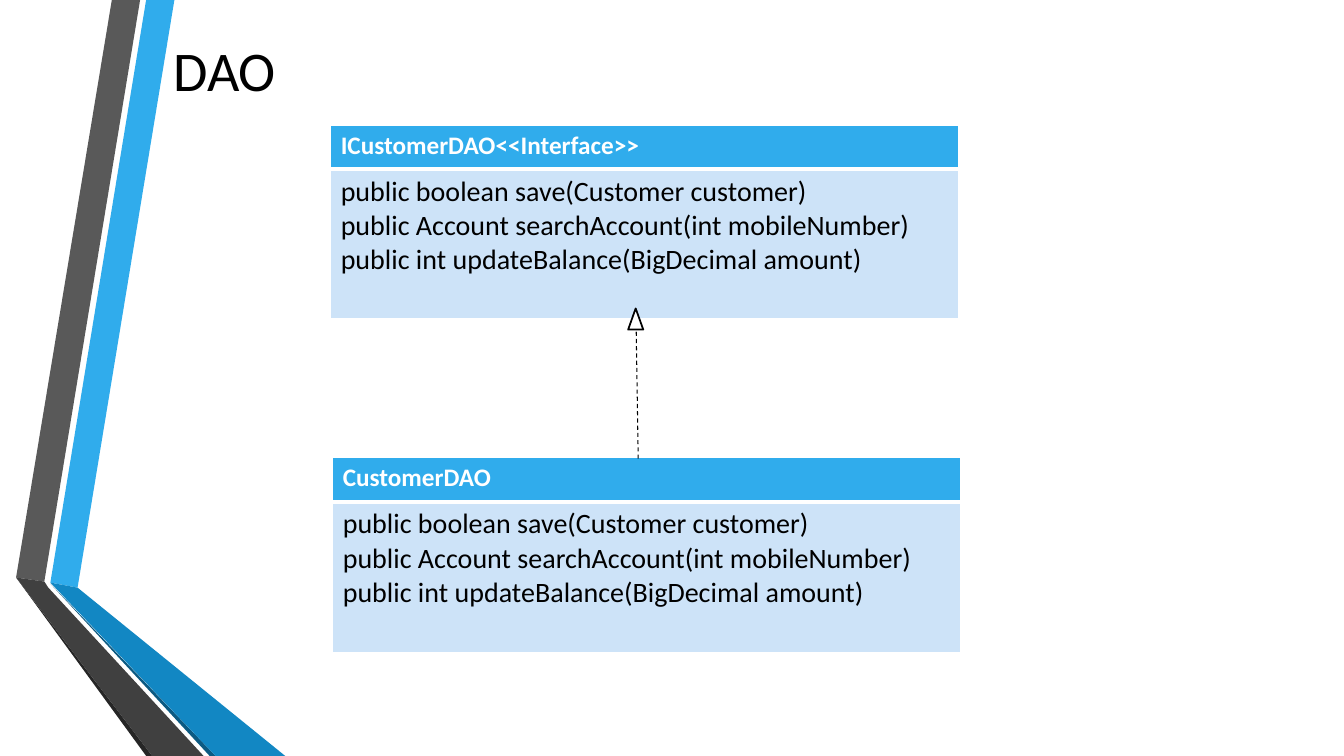
from lxml.etree import SubElement
from pptx import Presentation
from pptx.dml.color import RGBColor
from pptx.enum.dml import MSO_LINE
from pptx.enum.shapes import MSO_CONNECTOR, MSO_SHAPE
from pptx.enum.text import MSO_ANCHOR, PP_ALIGN
from pptx.oxml.ns import qn
from pptx.util import Inches, Pt

BLACK = RGBColor(0x00, 0x00, 0x00)
WHITE = RGBColor(0xFF, 0xFF, 0xFF)
BLUE = RGBColor(0x30, 0xAC, 0xEC)
MID_BLUE = RGBColor(0x12, 0x87, 0xC3)
DARK_BLUE = RGBColor(0x0C, 0x5A, 0x82)
PALE_BLUE = RGBColor(0xCD, 0xE3, 0xF8)
GRAY = RGBColor(0x59, 0x59, 0x59)
DARK_GRAY = RGBColor(0x40, 0x40, 0x40)
DARKEST_GRAY = RGBColor(0x26, 0x26, 0x26)
FONT = "Calibri"


def add_text(paragraph, text, size, color, bold=False):
    run = paragraph.add_run()
    run.text = text
    run.font.name = FONT
    run.font.size = Pt(size)
    run.font.color.rgb = color
    run.font.bold = bold


def format_cell(cell, color, border_widths):
    properties = cell._tc.get_or_add_tcPr()
    for side, width in border_widths.items():
        border = SubElement(properties, qn(f"a:ln{side}"), w=str(Pt(width)))
        border_fill = SubElement(border, qn("a:solidFill"))
        SubElement(border_fill, qn("a:srgbClr"), val=str(WHITE))
    cell.fill.solid()
    cell.fill.fore_color.rgb = color


presentation = Presentation()
presentation.slide_width = Inches(13.33)
presentation.slide_height = Inches(7.5)
slide = presentation.slides.add_slide(presentation.slide_layouts[5])

ribbons = [
    (BLUE, [(0.5, 5.78), (0.77, 5.83), (1.73, 0), (1.45, 0)]),
    (GRAY, [(1.39, 0), (1.11, 0), (0.16, 5.73), (0.44, 5.77)]),
    (DARKEST_GRAY, [(0.16, 5.73), (1.45, 7.5), (1.51, 7.5)]),
    (DARK_BLUE, [(0.5, 5.79), (2.08, 7.5), (2.14, 7.5)]),
    (MID_BLUE, [(0.5, 5.78), (2.14, 7.5), (2.83, 7.5), (0.77, 5.83)]),
    (DARK_GRAY, [(2.02, 7.5), (0.48, 5.83), (0.44, 5.77), (0.16, 5.73), (1.51, 7.5)]),
]
for color, points in ribbons:
    corners = [(Inches(x), Inches(y)) for x, y in points]
    builder = slide.shapes.build_freeform(*corners[0], scale=1.0)
    builder.add_line_segments(corners[1:], close=True)
    ribbon = builder.convert_to_shape()
    ribbon.shadow.inherit = False
    ribbon.fill.solid()
    ribbon.fill.fore_color.rgb = color
    ribbon.line.fill.background()

title = slide.shapes.title
title.left, title.top = Inches(1.62), Inches(0.15)
title.width, title.height = Inches(10.96), Inches(1.08)
title.text_frame.vertical_anchor = MSO_ANCHOR.MIDDLE
title_paragraph = title.text_frame.paragraphs[0]
title_paragraph.alignment = PP_ALIGN.LEFT
add_text(title_paragraph, "DAO", 40, BLACK)

methods = [
    "public boolean save(Customer customer)",
    "public Account searchAccount(int mobileNumber)",
    "public int updateBalance(BigDecimal amount)",
]
class_boxes = [
    ("CustomerDAO", 3.3, 4.54, 1.49),
    ("ICustomerDAO<<Interface>>", 3.28, 1.24, 1.48),
]
header_height = 0.44
for name, left, top, body_height in class_boxes:
    table = slide.shapes.add_table(
        2, 1, Inches(left), Inches(top), Inches(6.23), Inches(header_height + body_height)
    ).table
    table.rows[0].height = Inches(header_height)
    table.rows[1].height = Inches(body_height)
    header, body = table.cell(0, 0), table.cell(1, 0)
    format_cell(header, BLUE, {"L": 1, "R": 1, "T": 1, "B": 3})
    format_cell(body, PALE_BLUE, {"L": 1, "R": 1, "T": 3, "B": 1})
    add_text(header.text_frame.paragraphs[0], name, 18, WHITE, bold=True)
    for index, method in enumerate(methods):
        frame = body.text_frame
        paragraph = frame.add_paragraph() if index else frame.paragraphs[0]
        add_text(paragraph, method, 20, BLACK)

realization = slide.shapes.add_connector(
    MSO_CONNECTOR.STRAIGHT, Inches(6.33), Inches(4.55), Inches(6.31), Inches(3.27)
)
realization.line.color.rgb = BLACK
realization.line.width = Pt(0.75)
realization.line.dash_style = MSO_LINE.DASH
SubElement(realization._element.spPr, qn("a:effectLst"))

arrowhead = slide.shapes.add_shape(
    MSO_SHAPE.ISOSCELES_TRIANGLE, Inches(6.23), Inches(3.06), Inches(0.15), Inches(0.21)
)
arrowhead.shadow.inherit = False
arrowhead.fill.solid()
arrowhead.fill.fore_color.rgb = WHITE
arrowhead.line.color.rgb = BLACK
arrowhead.line.width = Pt(1.25)

presentation.save("out.pptx")
